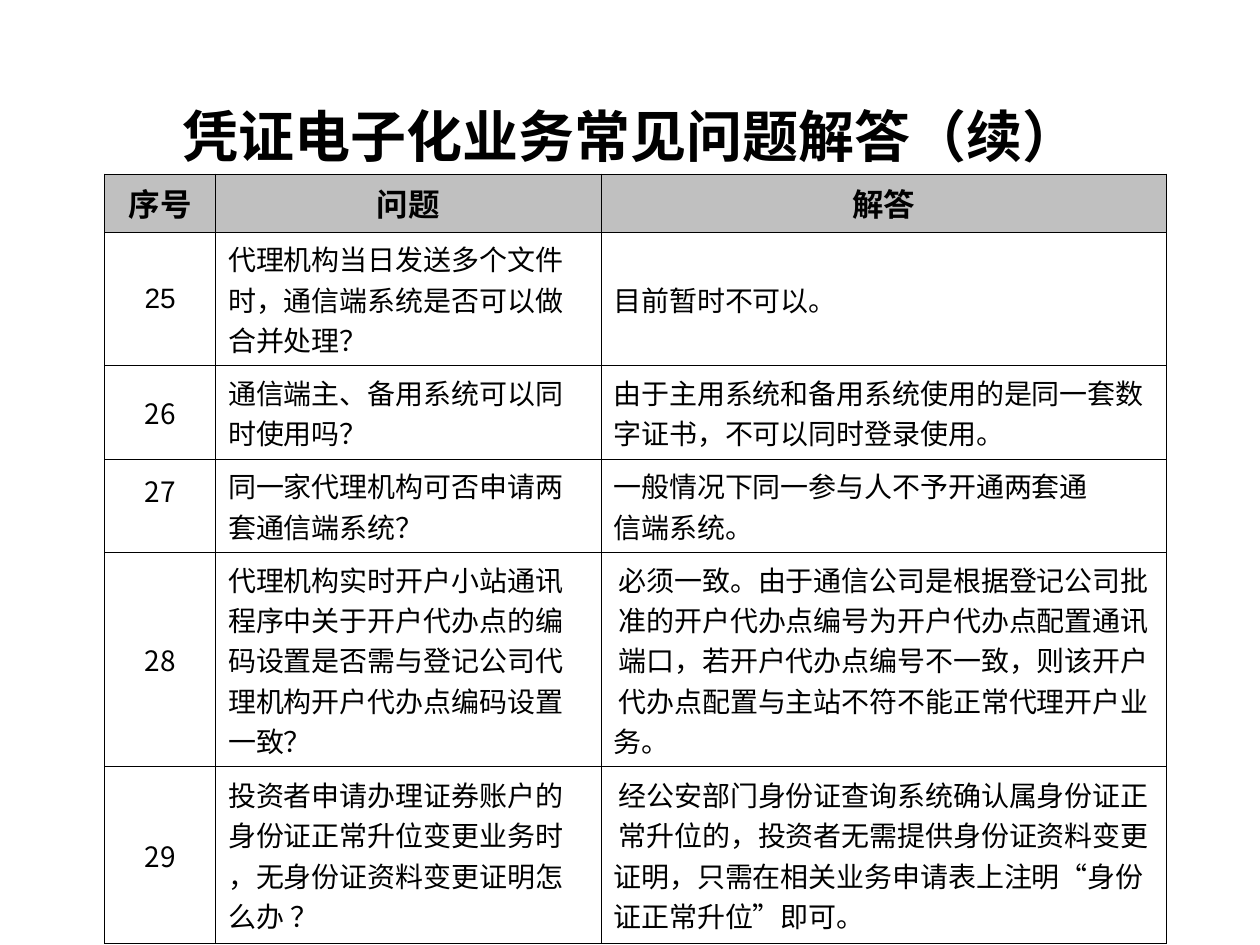
"""Build the FAQ slide: a title above a three-column question and answer table."""
from dataclasses import dataclass

from lxml.etree import SubElement
from pptx import Presentation
from pptx.dml.color import RGBColor
from pptx.enum.lang import MSO_LANGUAGE_ID
from pptx.enum.text import MSO_ANCHOR, PP_ALIGN
from pptx.oxml.ns import qn
from pptx.util import Pt


@dataclass(frozen=True)
class Theme:
    ink: str = "000000"
    header_fill: str = "C0C0C0"
    latin: str = "Arial"
    header_latin: str = "Times New Roman"
    chinese: str = "Noto Sans CJK SC"
    title_size: int = 32
    header_size: int = 18
    body_size: int = 16
    border: float = 0.45
    hanging: float = 27.36


THEME = Theme()
TITLE = "凭证电子化业务常见问题解答（续）"
HEADERS = ("序号", "问题", "解答")
FAQ = [
    {"number": "25", "number_font": THEME.latin,
     "question": ["代理机构当日发送多个文件", "时，通信端系统是否可以做", "合并处理？"],
     "answer": ["目前暂时不可以。"]},
    {"number": "26",
     "question": ["通信端主、备用系统可以同", "时使用吗？"],
     "answer": ["由于主用系统和备用系统使用的是同一套数", "字证书，不可以同时登录使用。"]},
    {"number": "27", "number_bottom": 21.6,
     "question": ["同一家代理机构可否申请两", "套通信端系统？"],
     "answer": ["一般情况下同一参与人不予开通两套通", "信端系统。"]},
    {"number": "28", "centred_lines": 4,
     "question": ["代理机构实时开户小站通讯", "程序中关于开户代办点的编", "码设置是否需与登记公司代",
                  "理机构开户代办点编码设置", "一致？"],
     "answer": ["必须一致。由于通信公司是根据登记公司批", "准的开户代办点编号为开户代办点配置通讯",
                "端口，若开户代办点编号不一致，则该开户", "代办点配置与主站不符不能正常代理开户业",
                "务。"]},
    {"number": "29", "centred_lines": 2,
     "question": ["投资者申请办理证券账户的", "身份证正常升位变更业务时", "，无身份证资料变更证明怎",
                  "么办 ？"],
     "answer": ["经公安部门身份证查询系统确认属身份证正", "常升位的，投资者无需提供身份证资料变更",
                "证明，只需在相关业务申请表上注明“身份", "证正常升位”即可。"]},
]
COLUMN_WIDTHS = (63.4, 220.2, 323.4)
ROW_HEIGHTS = (67.7, 28.8, 64.8, 51.1, 46.1, 103.7, 100.8)
TABLE_LEFT, TABLE_TOP = 59.8, 31.7
TITLE_BOX = (76.3, 60.5, 568.1, 33.8)


def add_text(paragraph, text, size, latin, bold=False):
    run = paragraph.add_run()
    run.text = text
    font = run.font
    font.size, font.name, font.bold = Pt(size), latin, bold
    font.color.rgb = RGBColor.from_string(THEME.ink)
    font.language_id = MSO_LANGUAGE_ID.SIMPLIFIED_CHINESE
    SubElement(font._element, qn("a:ea"), typeface=THEME.chinese)


def set_borders(cell, visible):
    properties = cell._tc.get_or_add_tcPr()
    for position, side in enumerate(("L", "R", "T", "B")):
        line = SubElement(properties, qn(f"a:ln{side}"), w=str(Pt(THEME.border)))
        if side in visible:
            paint = SubElement(line, qn("a:solidFill"))
            SubElement(paint, qn("a:srgbClr"), val=THEME.ink)
        else:
            SubElement(line, qn("a:noFill"))
        properties.insert(position, line)


def fill_cell(cell, lines, centred=0, size=THEME.body_size, latin=THEME.latin, bold=False, bottom=3.6):
    cell.vertical_anchor = MSO_ANCHOR.MIDDLE
    cell.margin_left = cell.margin_right = Pt(7.2)
    cell.margin_top, cell.margin_bottom = Pt(3.6), Pt(bottom)
    for index, text in enumerate(lines):
        frame = cell.text_frame
        paragraph = frame.add_paragraph() if index else frame.paragraphs[0]
        paragraph.alignment = PP_ALIGN.CENTER if index < centred else PP_ALIGN.LEFT
        layout = paragraph._p.get_or_add_pPr()
        layout.set("marL", str(Pt(THEME.hanging)))
        layout.set("indent", str(-Pt(THEME.hanging)))
        add_text(paragraph, text, size, latin, bold)


def add_title(slide):
    title = slide.shapes.title
    title.left, title.top, title.width, title.height = map(Pt, TITLE_BOX)
    frame = title.text_frame
    frame.word_wrap = True
    frame.vertical_anchor = MSO_ANCHOR.MIDDLE
    frame.paragraphs[0].alignment = PP_ALIGN.CENTER
    add_text(frame.paragraphs[0], TITLE, THEME.title_size, THEME.latin, True)


def add_faq_table(slide):
    table = slide.shapes.add_table(
        len(ROW_HEIGHTS), len(COLUMN_WIDTHS), Pt(TABLE_LEFT), Pt(TABLE_TOP),
        Pt(sum(COLUMN_WIDTHS)), Pt(sum(ROW_HEIGHTS))).table
    table.first_row = table.horz_banding = False
    for column, width in zip(table.columns, COLUMN_WIDTHS):
        column.width = Pt(width)
    for index, (row, height) in enumerate(zip(table.rows, ROW_HEIGHTS)):
        row.height = Pt(height)
        for cell in row.cells:
            set_borders(cell, "LRTB" if index else "B")
            cell.fill.background()
    table.cell(0, 0).merge(table.cell(0, len(COLUMN_WIDTHS) - 1))

    for cell, header in zip(table.rows[1].cells, HEADERS):
        cell.fill.solid()
        cell.fill.fore_color.rgb = RGBColor.from_string(THEME.header_fill)
        fill_cell(cell, [header], 1, THEME.header_size, THEME.header_latin, True)
    for row, entry in enumerate(FAQ, start=2):
        fill_cell(table.cell(row, 0), [entry["number"]], 1,
                  latin=entry.get("number_font", THEME.chinese),
                  bottom=entry.get("number_bottom", 3.6))
        fill_cell(table.cell(row, 1), entry["question"])
        fill_cell(table.cell(row, 2), entry["answer"], entry.get("centred_lines", 0))


def main():
    presentation = Presentation()
    presentation.slide_width, presentation.slide_height = Pt(720), Pt(540)
    slide = presentation.slides.add_slide(presentation.slide_layouts[5])
    add_title(slide)
    add_faq_table(slide)
    presentation.save("out.pptx")


if __name__ == "__main__":
    main()
